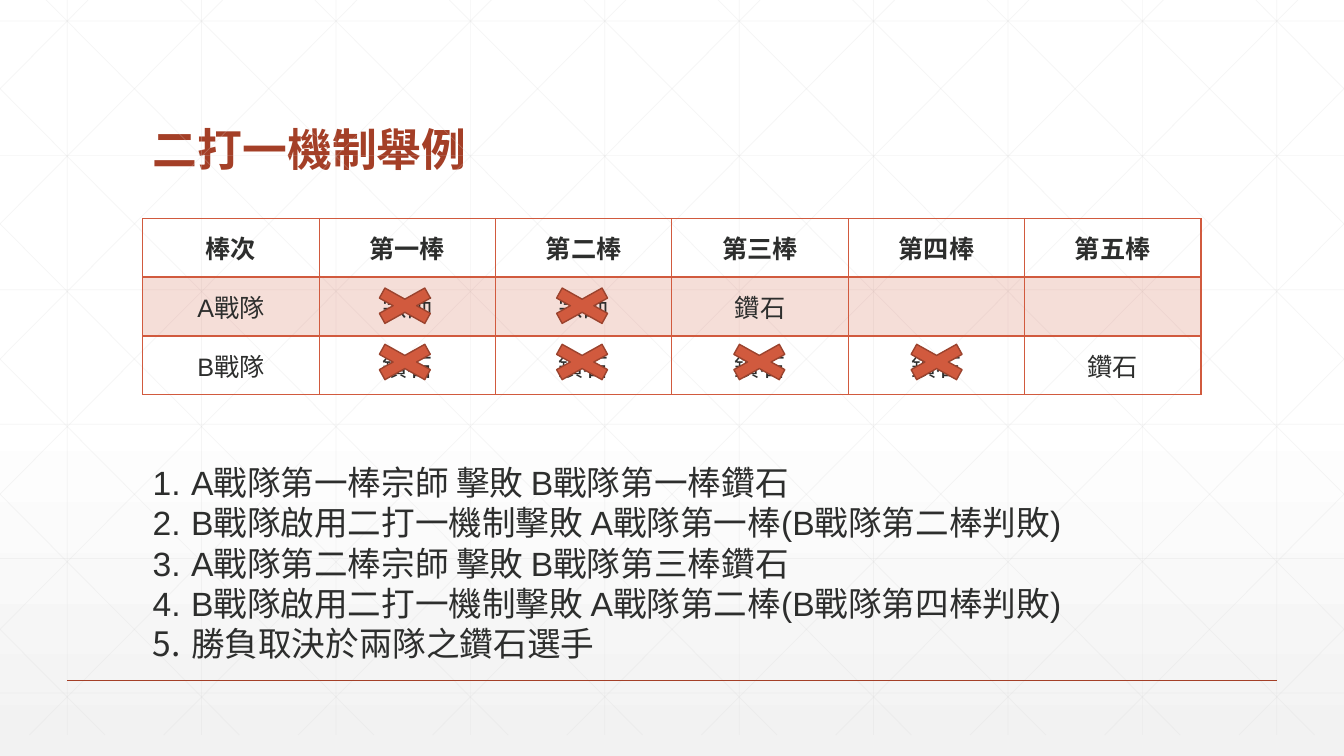
from dataclasses import dataclass

from pptx import Presentation, util as u
from pptx.dml.color import RGBColor
from pptx.enum import shapes, text
from pptx.oxml import parse_xml
from pptx.oxml.ns import nsdecls, qn
from pptx.oxml.xmlchemy import OxmlElement


@dataclass(frozen=True)
class Theme:
    ink: str = "2D2E2D"
    title: str = "A43F27"
    accent: str = "D15A3E"
    cross_edge: str = "9B432E"
    lattice: str = "D9D9D9"
    paper: str = "FFFFFF"
    shade: str = "F2F2F2"
    latin: str = "Arial"
    cjk: str = "Noto Sans CJK TC"
    title_pt: int = 32
    list_pt: int = 24
    table_pt: int = 18


COLS, ROWS = 160, 90
PITCH = 16
LATTICE_BOTTOM = 87.5
DIAGONAL_RUN = 87


class SlideBuilder:
    def __init__(self, prs, theme):
        self.theme = theme
        self.s = prs.slides.add_slide(prs.slide_layouts[5])
        self.col = prs.slide_width / COLS
        self.row = prs.slide_height / ROWS

    def at(self, x, y, w, h):
        return (round(x * self.col), round(y * self.row),
                round(w * self.col), round(h * self.row))

    def style(self, p, size, color, bold=False, latin=None):
        for r in p.runs:
            r.font.size = u.Pt(size)
            r.font.bold = bold
            r.font.color.rgb = RGBColor.from_string(color)
            r.font.name = latin or self.theme.latin
            ea = OxmlElement("a:ea")
            ea.set("typeface", self.theme.cjk)
            r.font._element.append(ea)

    def alpha(self, element, percent):
        for clr in element.iter(qn("a:srgbClr")):
            a = OxmlElement("a:alpha")
            a.set("val", str(percent * 1000))
            clr.append(a)

    def background(self):
        fill = self.s.background.fill
        fill.gradient()
        fill.gradient_angle = 270
        stops = ((0.53, self.theme.paper), (1, self.theme.shade))
        for stop, (position, color) in zip(fill.gradient_stops, stops):
            stop.position = position
            stop.color.rgb = RGBColor.from_string(color)

    def line(self, x1, y1, x2, y2, color, width, opacity=100):
        sp = self.s.shapes.add_connector(
            shapes.MSO_CONNECTOR.STRAIGHT, *self.at(x1, y1, x2, y2))
        sp.line.color.rgb = RGBColor.from_string(color)
        sp.line.width = u.Pt(width)
        spPr = sp._element.spPr
        if opacity < 100:
            self.alpha(spPr, opacity)
        spPr.append(OxmlElement("a:effectLst"))

    def lattice(self):
        pen = (self.theme.lattice, 0.5, 25)
        for x in range(PITCH // 2, COLS, PITCH):
            self.line(x, 0, x, LATTICE_BOTTOM, *pen)
        for j in range(6):
            y = 2.5 + PITCH * j
            self.line(0, y, COLS, y, *pen)
        for k in range(-5, 10):
            start = 5.5 + PITCH * k
            x1, x2 = max(0, start), min(COLS, start + DIAGONAL_RUN)
            y1, y2 = ((x - start) * LATTICE_BOTTOM / DIAGONAL_RUN
                      for x in (x1, x2))
            self.line(x1, y1, x2, y2, *pen)
            self.line(COLS - x1, y1, COLS - x2, y2, *pen)

    def title(self, words, *box):
        sp = self.s.shapes.title
        sp.left, sp.top, sp.width, sp.height = self.at(*box)
        tf = sp.text_frame
        tf.text = words
        tf.word_wrap = True
        tf.vertical_anchor = text.MSO_ANCHOR.BOTTOM
        p = tf.paragraphs[0]
        p.alignment = text.PP_ALIGN.LEFT
        p.line_spacing = 0.9
        self.style(p, self.theme.title_pt, self.theme.title, True,
                   self.theme.cjk)

    def borders(self, cell, is_head, below_head):
        tcPr = cell._tc.get_or_add_tcPr()
        widths = {"L": 1, "R": 1, "T": 2 if below_head else 1,
                  "B": 2 if is_head else 1}
        for side, width in widths.items():
            tcPr.append(parse_xml(
                f'<a:ln{side} {nsdecls("a")} w="{u.Pt(width)}"><a:solidFill>'
                f'<a:srgbClr val="{self.theme.accent}"/></a:solidFill>'
                f'</a:ln{side}>'))

    def table(self, rows, x, y, col_width, row_height):
        n = len(rows[0])
        box = self.at(x, y, col_width * n, row_height * len(rows))
        tbl = self.s.shapes.add_table(len(rows), n, *box).table
        tbl.horz_banding = False
        for i, row in enumerate(rows):
            for j, words in enumerate(row):
                cell = tbl.cell(i, j)
                cell.vertical_anchor = text.MSO_ANCHOR.MIDDLE
                self.borders(cell, i == 0, i == 1)
                if i == 1:
                    cell.fill.solid()
                    cell.fill.fore_color.rgb = RGBColor.from_string(
                        self.theme.accent)
                    self.alpha(cell._tc.tcPr.find(qn("a:solidFill")), 20)
                else:
                    cell.fill.background()
                cell.text_frame.text = words
                p = cell.text_frame.paragraphs[0]
                p.alignment = text.PP_ALIGN.CENTER
                self.style(p, self.theme.table_pt, self.theme.ink, i == 0)

    def numbered_list(self, items, *box):
        tf = self.s.shapes.add_textbox(*self.at(*box)).text_frame
        tf.word_wrap = True
        tf.auto_size = text.MSO_AUTO_SIZE.SHAPE_TO_FIT_TEXT
        tf.text = "\n".join(items)
        indent = u.Inches(0.38)
        for p in tf.paragraphs:
            pPr = p._p.get_or_add_pPr()
            pPr.set("marL", str(indent))
            pPr.set("indent", str(-indent))
            number = OxmlElement("a:buAutoNum")
            number.set("type", "arabicPeriod")
            pPr.append(number)
            self.style(p, self.theme.list_pt, self.theme.ink)

    def cross(self, *box):
        sp = self.s.shapes.add_shape(
            shapes.MSO_SHAPE.MATH_MULTIPLY, *self.at(*box))
        sp.shadow.inherit = False
        sp.fill.solid()
        sp.fill.fore_color.rgb = RGBColor.from_string(self.theme.accent)
        sp.line.color.rgb = RGBColor.from_string(self.theme.cross_edge)
        sp.line.width = u.Pt(1)


def main():
    prs = Presentation()
    prs.slide_width, prs.slide_height = u.Inches(13.33), u.Inches(7.5)
    theme = Theme()
    b = SlideBuilder(prs, theme)
    b.background()
    b.lattice()
    b.line(8, 81, 152, 81, theme.title, 1)
    b.title("二打一機制舉例", 17, 6.6, 126, 15)
    b.table([
        ["棒次", "第一棒", "第二棒", "第三棒", "第四棒", "第五棒"],
        ["A戰隊", "宗師", "宗師", "鑽石", "", ""],
        ["B戰隊", "鑽石", "鑽石", "鑽石", "鑽石", "鑽石"],
    ], 17, 26, 21, 7)
    b.numbered_list([
        "A戰隊第一棒宗師 擊敗 B戰隊第一棒鑽石",
        "B戰隊啟用二打一機制擊敗 A戰隊第一棒(B戰隊第二棒判敗)",
        "A戰隊第二棒宗師 擊敗 B戰隊第三棒鑽石",
        "B戰隊啟用二打一機制擊敗 A戰隊第二棒(B戰隊第四棒判敗)",
        "勝負取決於兩隊之鑽石選手",
    ], 17, 54.4, 127.2, 25.4)
    for y, defeated in ((33.5, 2), (40.2, 4)):
        for j in range(defeated):
            b.cross(43 + 21.1 * j, y, 10.4, 5.8)
    prs.save("out.pptx")


if __name__ == "__main__":
    main()
